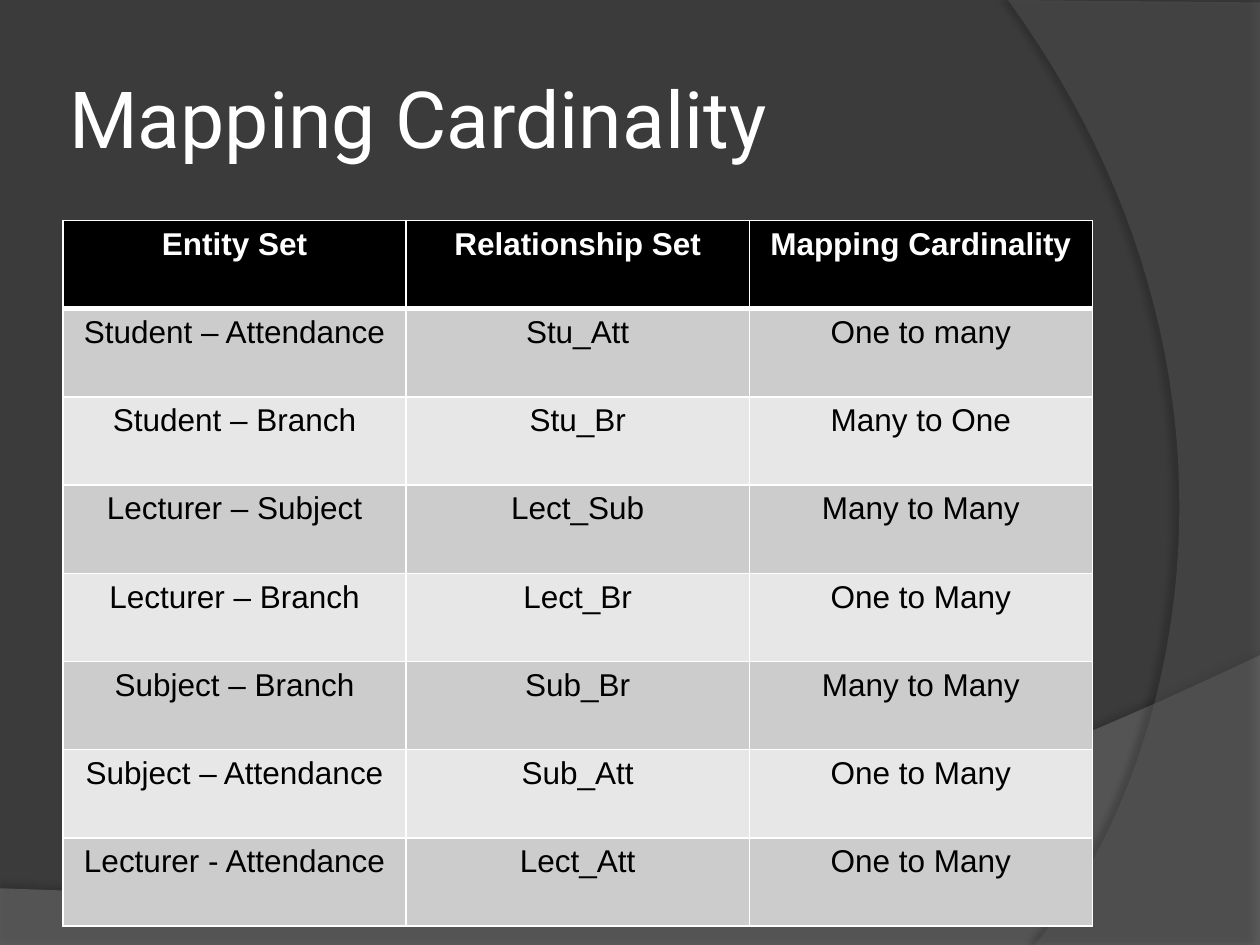
from lxml.etree import SubElement
from pptx import Presentation
from pptx.dml.color import RGBColor
from pptx.enum.text import MSO_ANCHOR, MSO_AUTO_SIZE, PP_ALIGN
from pptx.oxml.ns import qn
from pptx.util import Inches, Pt

COLORS = {
    "background": "3B3B3B", "hill": "7F7F7F", "arc": "5E5E5E", "shadow": "000000",
    "white": "FFFFFF", "black": "000000", "odd": "CCCCCC", "even": "E7E7E7",
}
TITLE = "Mapping Cardinality"
ROWS = [
    ("Entity Set", "Relationship Set", "Mapping Cardinality"),
    ("Student – Attendance", "Stu_Att", "One to many"),
    ("Student – Branch", "Stu_Br", "Many to One"),
    ("Lecturer – Subject", "Lect_Sub", "Many to Many"),
    ("Lecturer – Branch", "Lect_Br", "One to Many"),
    ("Subject – Branch", "Sub_Br", "Many to Many"),
    ("Subject – Attendance", "Sub_Att", "One to Many"),
    ("Lecturer - Attendance", "Lect_Att", "One to Many"),
]
# Each decoration: straight corners, then the four control points of its curved edge
DECORATIONS = [
    {"color": "hill", "alpha": 45, "corners": [(0, 7.51), (10, 7.51)],
     "curve": [(10, 5.2), (5.59, 7.29), (3.91, 7.19), (0, 7.05)],
     "shadow": {"alpha": 35, "blur": 4, "distance": 3.5, "angle": 270}},
    {"color": "arc", "alpha": 40, "corners": [(10, 0.02), (10, 7.5)],
     "curve": [(8.21, 7.5), (9.35, 6.19), (10.18, 3), (8, 0)],
     "shadow": {"alpha": 45, "blur": 4, "distance": 4, "angle": 180}},
]
WIDTH, HEIGHT = Inches(10), Inches(7.5)
LEFT, CONTENT_WIDTH = Inches(0.5), Inches(8.17)
TABLE_TOP, ROW_HEIGHT = Inches(1.75), Inches(0.7)
CURVE_STEPS = 48


def rgb(name):
    return RGBColor.from_string(COLORS[name])


def style_text(paragraph, size, font_name, color, bold=False):
    font = paragraph.runs[0].font
    font.size, font.name, font.bold = Pt(size), font_name, bold
    font.color.rgb = rgb(color)


def bezier(points):
    """Sample a cubic curve from its four control points."""
    for step in range(CURVE_STEPS + 1):
        t = step / CURVE_STEPS
        weights = ((1 - t) ** 3, 3 * t * (1 - t) ** 2, 3 * t * t * (1 - t), t ** 3)
        yield tuple(sum(w * p[axis] for w, p in zip(weights, points)) for axis in (0, 1))


def set_alpha(color_element, percent):
    SubElement(color_element, qn("a:alpha"), val=str(percent * 1000))


def add_decoration(slide, item):
    outline = [(Inches(x), Inches(y)) for x, y in [*item["corners"], *bezier(item["curve"])]]
    builder = slide.shapes.build_freeform(*outline[0])
    builder.add_line_segments(outline[1:], close=True)
    shape = builder.convert_to_shape()
    shape.fill.solid()
    shape.fill.fore_color.rgb = rgb(item["color"])
    shape.line.fill.background()
    shape.shadow.inherit = False
    properties = shape.element.spPr
    set_alpha(properties.find(".//" + qn("a:srgbClr")), item["alpha"])
    shadow = item["shadow"]
    outer = SubElement(
        properties.find(qn("a:effectLst")), qn("a:outerShdw"),
        blurRad=str(Pt(shadow["blur"])), dist=str(Pt(shadow["distance"])),
        dir=str(shadow["angle"] * 60000), algn="ctr", rotWithShape="0")
    set_alpha(SubElement(outer, qn("a:srgbClr"), val=COLORS["shadow"]), shadow["alpha"])
    return shape


def set_borders(cell, **widths):
    properties = cell._tc.get_or_add_tcPr()
    for side in "LRTB":
        line = SubElement(properties, qn("a:ln" + side), w=str(Pt(widths.get(side, 1))))
        fill = SubElement(line, qn("a:solidFill"))
        SubElement(fill, qn("a:srgbClr"), val=COLORS["white"])


def add_title(slide):
    title = slide.shapes.title
    title.left, title.top = LEFT, Inches(0.3)
    title.width, title.height = CONTENT_WIDTH, Inches(1.25)
    frame = title.text_frame
    frame.text = TITLE
    frame.auto_size = MSO_AUTO_SIZE.NONE
    frame.vertical_anchor = MSO_ANCHOR.MIDDLE
    frame.margin_left = frame.margin_right = Inches(0.05)
    frame.margin_top = frame.margin_bottom = Inches(0.05)
    frame.paragraphs[0].alignment = PP_ALIGN.LEFT
    style_text(frame.paragraphs[0], 45, "Roboto", "white")
    return title


def add_cardinality_table(slide):
    table = slide.shapes.add_table(
        len(ROWS), len(ROWS[0]), LEFT, TABLE_TOP, CONTENT_WIDTH, ROW_HEIGHT * len(ROWS)).table
    table.horz_banding = False
    for row, texts in enumerate(ROWS):
        header = row == 0
        fill = "black" if header else "odd" if row % 2 else "even"
        for column, text in enumerate(texts):
            cell = table.cell(row, column)
            set_borders(cell, T=3 if row == 1 else 1, B=3 if header else 1)
            cell.fill.solid()
            cell.fill.fore_color.rgb = rgb(fill)
            cell.text = text
            paragraph = cell.text_frame.paragraphs[0]
            paragraph.alignment = PP_ALIGN.CENTER
            style_text(paragraph, 18, "Arial", "white" if header else "black", header)


def main():
    presentation = Presentation()
    presentation.slide_width, presentation.slide_height = WIDTH, HEIGHT
    slide = presentation.slides.add_slide(presentation.slide_layouts[5])
    slide.background.fill.solid()
    slide.background.fill.fore_color.rgb = rgb("background")
    title = add_title(slide)
    for item in DECORATIONS:
        title.element.addprevious(add_decoration(slide, item).element)
    add_cardinality_table(slide)
    presentation.save("out.pptx")


if __name__ == "__main__":
    main()
